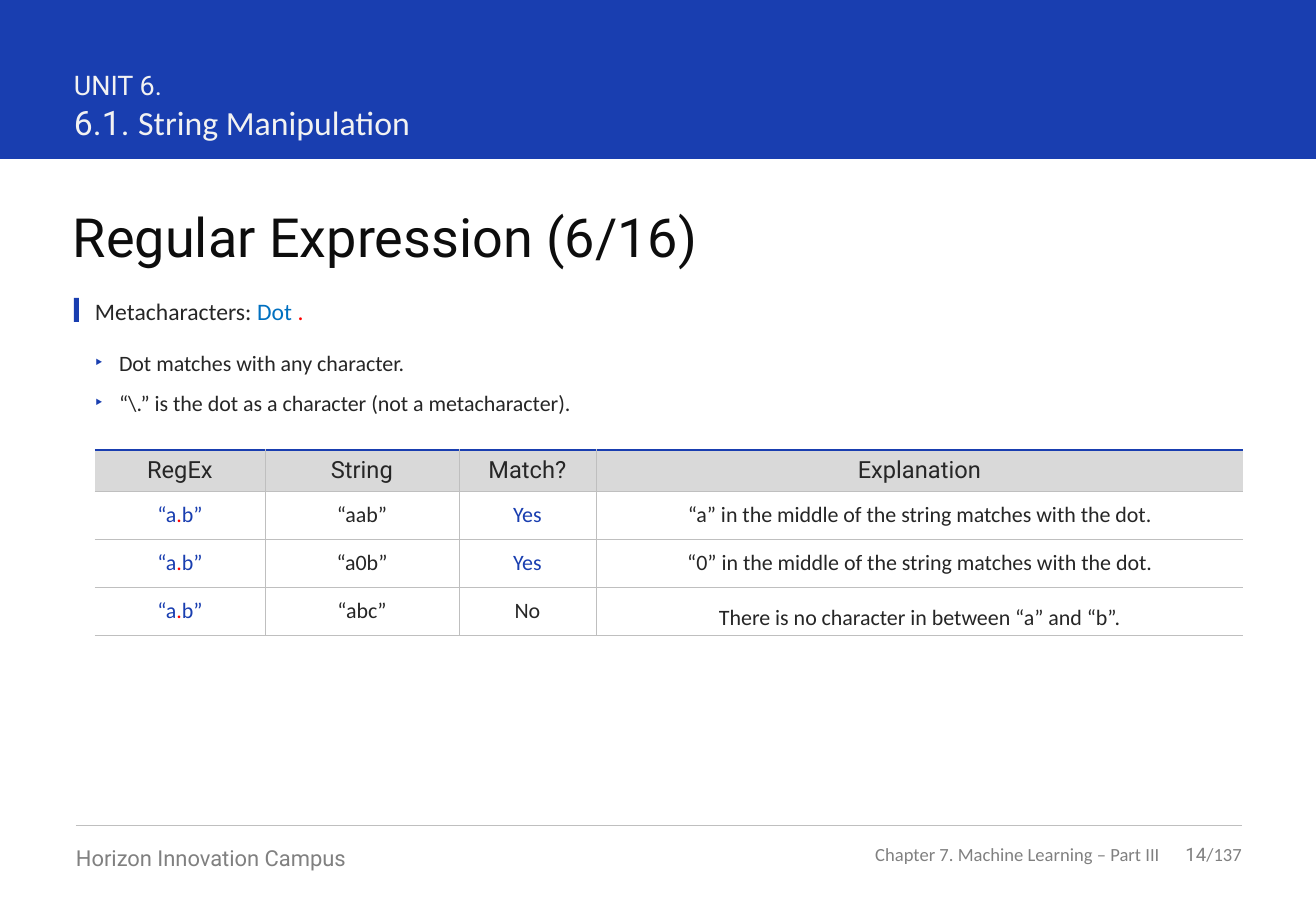
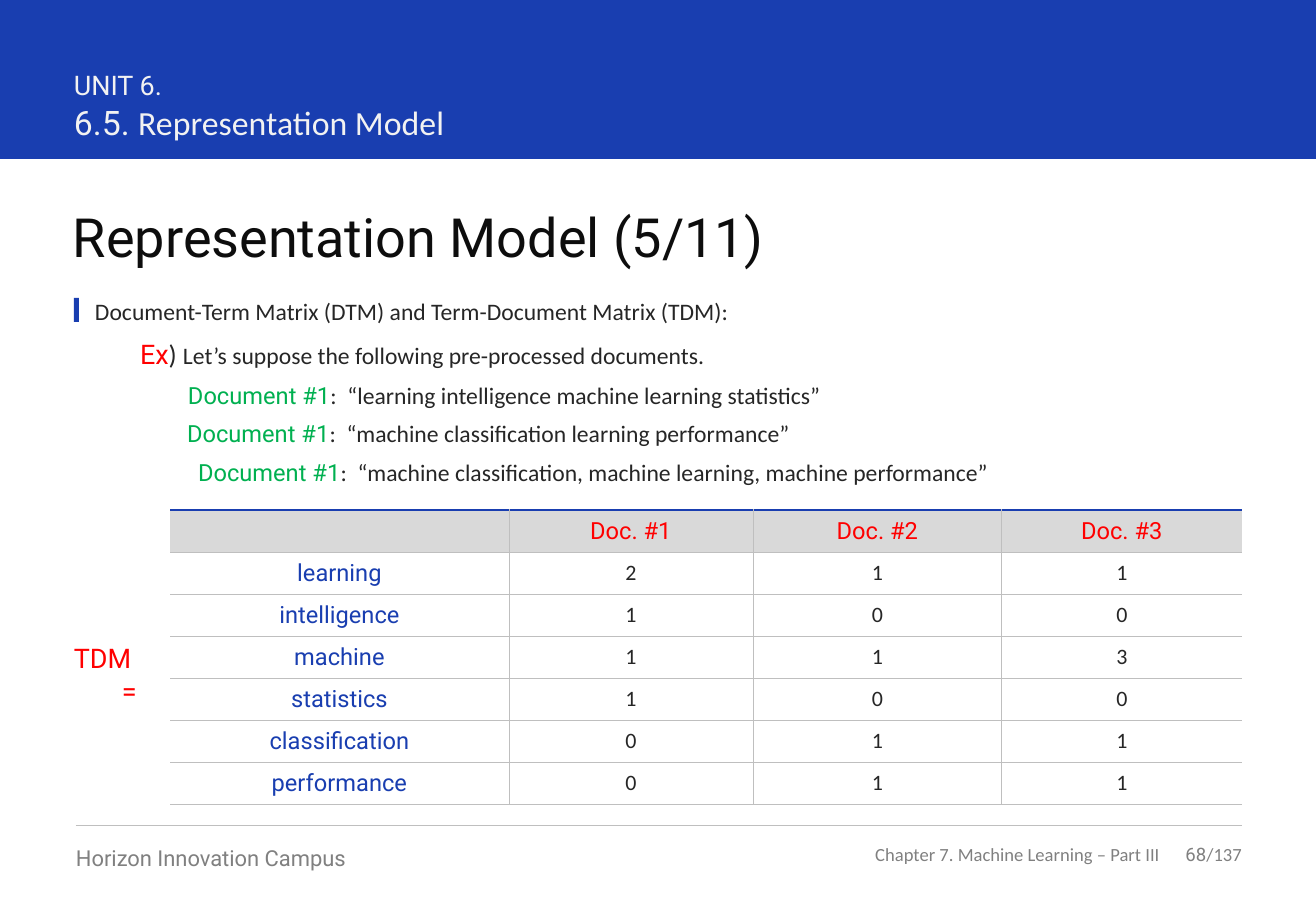
"""Build two course slides: regular expressions and the term-document matrix."""
import lxml.etree
import pptx
import pptx.dml.color
import pptx.enum.shapes
import pptx.enum.text
import pptx.oxml
import pptx.oxml.ns
import pptx.util

RGB = pptx.dml.color.RGBColor
BLUE = RGB(0x19, 0x3E, 0xB0)
SKY = RGB(0x00, 0x70, 0xC0)
RED = RGB(0xFF, 0x00, 0x00)
GREEN = RGB(0x00, 0xB0, 0x50)
INK = RGB(0x26, 0x26, 0x26)
BLACK = RGB(0x0D, 0x0D, 0x0D)
PALE = RGB(0xF2, 0xF2, 0xF2)
GRAY = RGB(0x80, 0x80, 0x80)
RULE = RGB(0xBF, 0xBF, 0xBF)
HEAD = RGB(0xD9, 0xD9, 0xD9)
WHITE = RGB(0xFF, 0xFF, 0xFF)
SANS = "Calibri"
ROBO = "Roboto"
PX = 7526
LEFT = pptx.enum.text.PP_ALIGN.LEFT
MID = pptx.enum.text.PP_ALIGN.CENTER
RIGHT = pptx.enum.text.PP_ALIGN.RIGHT
TOP = pptx.enum.text.MSO_ANCHOR.TOP
CORE = pptx.enum.text.MSO_ANCHOR.MIDDLE
RECT = pptx.enum.shapes.MSO_SHAPE.RECTANGLE
qn = pptx.oxml.ns.qn


def write(frame, paras, align=LEFT, gap=0):
    """Write paragraphs, each a list of (text, size, font, colour) runs."""
    frame.word_wrap = True
    for i, runs in enumerate(paras):
        para = frame.paragraphs[0] if i == 0 else frame.add_paragraph()
        para.alignment = align
        para.space_before = pptx.util.Pt(0)
        para.space_after = pptx.util.Pt(gap)
        for text, size, font, color in runs:
            run = para.add_run()
            run.text = text
            run.font.size = pptx.util.Pt(size)
            run.font.name = font
            run.font.color.rgb = color


def place(shape, area, paras, align=LEFT, gap=0, anchor=TOP):
    """Move a text shape to an area in px, clear its insets and write in it."""
    shape.left, shape.top, shape.width, shape.height = [n * PX for n in area]
    frame = shape.text_frame
    frame.auto_size = pptx.enum.text.MSO_AUTO_SIZE.NONE
    frame.vertical_anchor = anchor
    frame.margin_left = frame.margin_right = 0
    frame.margin_top = frame.margin_bottom = 0
    write(frame, paras, align, gap)
    return frame


deck = pptx.Presentation()
deck.slide_width = 1316 * PX
deck.slide_height = 911 * PX

pages = [
    ("6.1. ", "String Manipulation", "Regular Expression (6/16)", "14",
     [("Metacharacters: ", 14, SANS, INK), ("Dot ", 14, SANS, SKY),
      (".", 14, SANS, RED)]),
    ("6.5. ", "Representation Model", "Representation Model (5/11)", "68",
     [("Document-Term Matrix (DTM) and Term-Document Matrix (TDM):",
       14, SANS, INK)]),
]
slides = []
for part, unit, title, page, topic in pages:
    slide = deck.slides.add_slide(deck.slide_layouts[1])
    slides.append(slide)
    shapes = slide.shapes
    for area in [(0, 0, 1316, 159), (74, 298, 5, 24)]:
        bar = shapes.add_shape(RECT, *[n * PX for n in area])
        bar.shadow.inherit = False
        bar.fill.solid()
        bar.fill.fore_color.rgb = BLUE
        bar.line.fill.background()
    line = shapes.add_connector(pptx.enum.shapes.MSO_CONNECTOR.STRAIGHT,
                                76 * PX, 825 * PX, 1242 * PX, 825 * PX)
    line.line.color.rgb = RULE
    line.line.width = pptx.util.Pt(0.5)
    lxml.etree.SubElement(line._element.spPr, qn("a:effectLst"))
    place(shapes.title, (73, 203, 1169, 66), [[(title, 32, ROBO, BLACK)]])
    notes = [
        ((74, 69, 1168, 74), [[("UNIT 6.", 16, ROBO, PALE)],
                              [(part, 20, ROBO, PALE),
                               (unit, 20, SANS, PALE)]], LEFT, TOP),
        ((95, 297, 1147, 29), [topic], LEFT, TOP),
        ((76, 845, 384, 27),
         [[("Horizon Innovation Campus", 13, ROBO, GRAY)]], LEFT, TOP),
        ((850, 843, 310, 23),
         [[("Chapter 7. Machine Learning – Part III", 11, SANS, GRAY)]],
         RIGHT, CORE),
        ((1160, 843, 82, 23), [[(page, 11, ROBO, GRAY),
                                ("/137", 11, SANS, GRAY)]], RIGHT, CORE),
    ]
    for area, paras, align, anchor in notes:
        place(shapes.add_textbox(0, 0, PX, PX), area, paras, align,
              anchor=anchor)

regex, model = slides
facts = ["Dot matches with any character.",
         "“\\.” is the dot as a character (not a metacharacter)."]
frame = place(regex.placeholders[1], (95, 350, 1128, 86),
              [[(fact, 13, SANS, INK)] for fact in facts], gap=8)
for para in frame.paragraphs:
    props = para._p.get_or_add_pPr()
    props.set("marL", str(24 * PX))
    props.set("indent", str(-24 * PX))
    tint = lxml.etree.SubElement(props, qn("a:buClr"))
    lxml.etree.SubElement(tint, qn("a:srgbClr")).set("val", str(BLUE))
    lxml.etree.SubElement(props, qn("a:buChar")).set("char", "‣")

docs = ["“learning intelligence machine learning statistics”",
        "“machine classification learning performance”",
        "“machine classification, machine learning, machine performance”"]
lines = [[("Ex", 16, ROBO, RED), (") ", 16, SANS, INK),
          ("Let’s suppose the following pre-processed documents.",
           14, SANS, INK)]]
lines += [[("Document #1", 14, ROBO, GREEN), (":  " + doc, 14, SANS, INK)]
          for doc in docs]
frame = place(model.placeholders[1], (140, 338, 1102, 150), lines, gap=6)
for para, inset in zip(frame.paragraphs, [0, 48, 47, 58]):
    props = para._p.get_or_add_pPr()
    props.set("marL", str(inset * PX))
    props.set("indent", "0")
    lxml.etree.SubElement(props, qn("a:buNone"))

frame = place(model.shapes.add_textbox(0, 0, PX, PX), (74, 642, 77, 66),
              [[("TDM =", 16, ROBO, RED)]], gap=6)
props = frame.paragraphs[0]._p.get_or_add_pPr()
props.set("marL", str(48 * PX))
props.set("indent", str(-48 * PX))

tests = [("“aab”", "Yes",
          "“a” in the middle of the string matches with the dot."),
         ("“a0b”", "Yes",
          "“0” in the middle of the string matches with the dot."),
         ("“abc”", "No", "There is no character in between “a” and “b”.")]
match = [[[(name, 14, ROBO, INK)]
          for name in ["RegEx", "String", "Match?", "Explanation"]]]
for word, found, why in tests:
    match.append([
        [("“a", 13, SANS, BLUE), (".", 13, SANS, RED), ("b”", 13, SANS, BLUE)],
        [(word, 13, SANS, INK)],
        [(found, 13, SANS, BLUE if found == "Yes" else INK)],
        [(why, 13, SANS, INK)]])

counts = [("learning", "211"), ("intelligence", "100"), ("machine", "113"),
          ("statistics", "100"), ("classification", "011"),
          ("performance", "011")]
terms = [[[]] + [[(f"Doc. #{n}", 14, ROBO, RED)] for n in (1, 2, 3)]]
for term, digits in counts:
    terms.append([[(term, 14, ROBO, BLUE)]]
                 + [[(digit, 13, SANS, INK)] for digit in digits])

grids = [(regex, 95, 450, [170, 194, 137, 647], 41, 48, match, WHITE),
         (model, 170, 510, [339, 244, 249, 240], 42, 42, terms, None)]
tables = []
for slide, left, top, cols, first, rest, grid, paint in grids:
    high = first + rest * (len(grid) - 1)
    table = slide.shapes.add_table(len(grid), len(cols), left * PX, top * PX,
                                   sum(cols) * PX, high * PX).table
    tables.append(table)
    table.horz_banding = False
    table.first_row = False
    for col, wide in zip(table.columns, cols):
        col.width = wide * PX
    for r, row in enumerate(grid):
        table.rows[r].height = (rest if r else first) * PX
        for c, runs in enumerate(row):
            cell = table.cell(r, c)
            cell.margin_left = cell.margin_right = 0
            cell.margin_top = cell.margin_bottom = 0
            cell.vertical_anchor = CORE
            write(cell.text_frame, [runs], MID)
            edges = [("a:lnL", RULE if c else None),
                     ("a:lnR", RULE if c < len(cols) - 1 else None),
                     ("a:lnT", RULE if r else BLUE), ("a:lnB", RULE)]
            props = cell._tc.get_or_add_tcPr()
            for tag, color in edges:
                edge = lxml.etree.SubElement(props, qn(tag))
                edge.set("w", "12700" if color == BLUE else "6350")
                if color is None:
                    lxml.etree.SubElement(edge, qn("a:noFill"))
                else:
                    solid = lxml.etree.SubElement(edge, qn("a:solidFill"))
                    tint = lxml.etree.SubElement(solid, qn("a:srgbClr"))
                    tint.set("val", str(color))
            shade = paint if r else HEAD
            if shade is None:
                cell.fill.background()
            else:
                cell.fill.solid()
                cell.fill.fore_color.rgb = shade
tables[0].cell(3, 3).text_frame.paragraphs[0].line_spacing = 1.5

deck.save("out.pptx")
